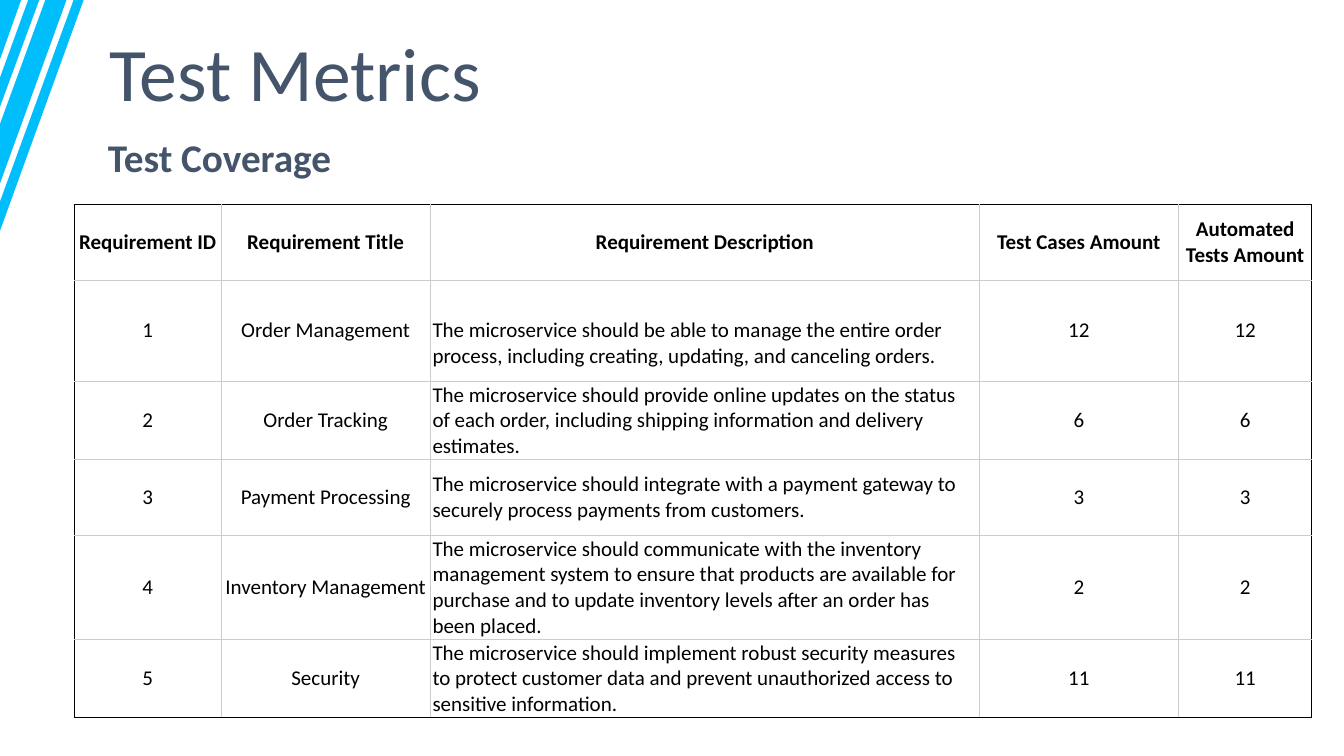
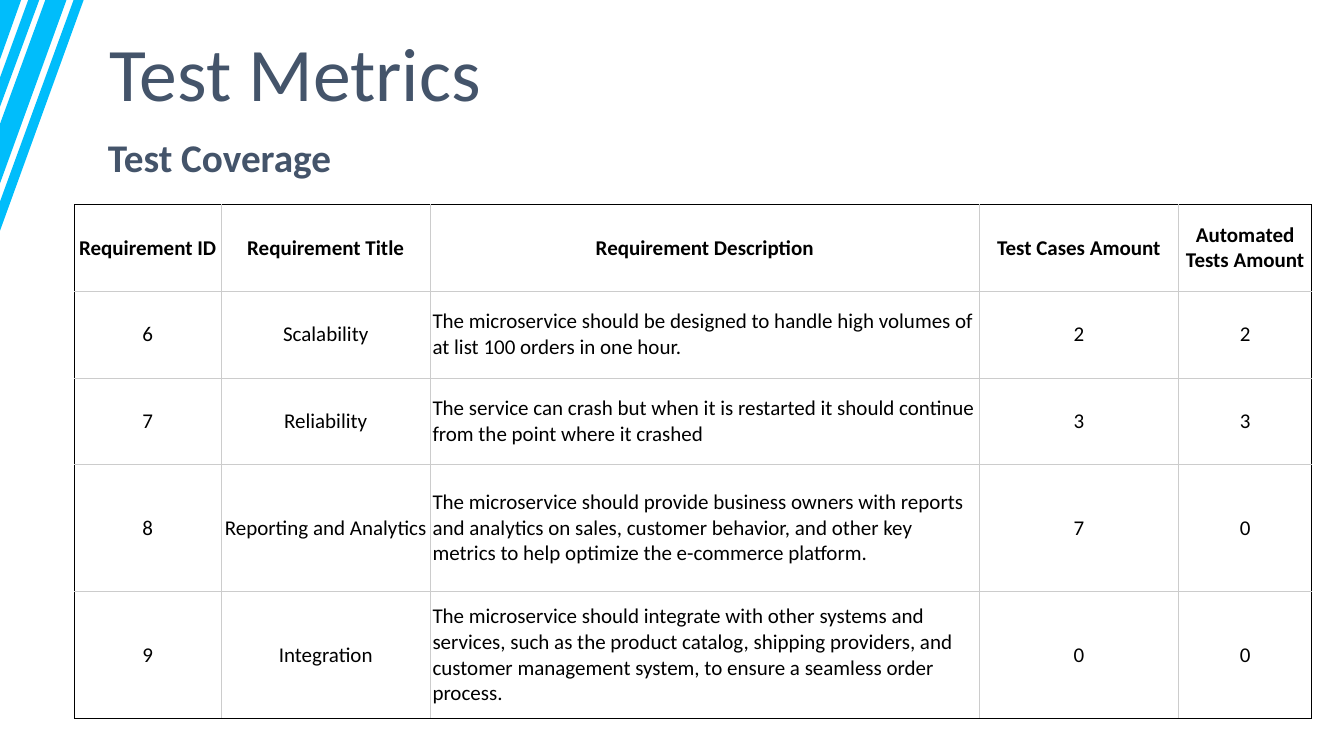
"""Builds the two test coverage slides of the test metrics report."""
from lxml import etree
from pptx import Presentation
from pptx.dml.color import RGBColor
from pptx.enum import text
from pptx.oxml import ns
from pptx.util import Inches, Pt

FONT = "Calibri"
SLATE, SKY, BLACK, GREY = "44546A", "00BDFB", "000000", "CCCCCC"

TITLE, SUBTITLE = "Test Metrics", "Test Coverage"
HEADINGS = ("Requirement ID", "Requirement Title", "Requirement Description",
            "Test Cases Amount", "Automated Tests Amount")
COLUMN_WIDTHS = (1.45, 2.08, 5.44, 1.98, 1.32)
DESCRIPTION_COLUMN = 2
LOWERED_REQUIREMENT, LOWERED_MARGIN = "1", 0.26

PAGES = [
    {"row_heights": (0.75, 1, 0.78, 0.75, 1.03, 0.78),
     "requirements": [
         ("1", "Order Management",
          "The microservice should be able to manage the entire order process, "
          "including creating, updating, and canceling orders.", "12", "12"),
         ("2", "Order Tracking",
          "The microservice should provide online updates on the status of each order, "
          "including shipping information and delivery estimates.", "6", "6"),
         ("3", "Payment Processing",
          "The microservice should integrate with a payment gateway to securely "
          "process payments from customers.", "3", "3"),
         ("4", "Inventory Management",
          "The microservice should communicate with the inventory management system to "
          "ensure that products are available for purchase and to update inventory "
          "levels after an order has been placed.", "2", "2"),
         ("5", "Security",
          "The microservice should implement robust security measures to protect customer "
          "data and prevent unauthorized access to sensitive information.", "11", "11"),
     ]},
    {"row_heights": (0.86, 0.86, 0.86, 1.26, 1.26),
     "requirements": [
         ("6", "Scalability",
          "The microservice should be designed to handle high volumes of at list 100 "
          "orders in one hour.", "2", "2"),
         ("7", "Reliability",
          "The service can crash but when it is restarted it should continue from the "
          "point where it crashed", "3", "3"),
         ("8", "Reporting and Analytics",
          "The microservice should provide business owners with reports and analytics on "
          "sales, customer behavior, and other key metrics to help optimize the "
          "e-commerce platform.", "7", "0"),
         ("9", "Integration",
          "The microservice should integrate with other systems and services, such as the "
          "product catalog, shipping providers, and customer management system, to ensure "
          "a seamless order process.", "0", "0"),
     ]},
]

STRIPES = [
    [(0, 0), (0.21, 0), (0, 0.59)],
    [(0.28, 0), (0.39, 0), (0, 1.06), (0, 0.77)],
    [(0.45, 0), (0.66, 0), (0, 1.82), (0, 1.23)],
    [(0.73, 0), (0.83, 0), (0, 2.29), (0, 2)],
]


def rgb(color):
    return RGBColor.from_string(color)


def style(paragraph, size, color, bold=False):
    font = paragraph.font
    font.name, font.size, font.bold = FONT, Pt(size), bold
    font.color.rgb = rgb(color)


def add_stripes(slide):
    outlines = [[(Inches(x), Inches(y)) for x, y in stripe] for stripe in STRIPES]
    builder = slide.shapes.build_freeform(*outlines[0][0])
    builder.add_line_segments(outlines[0][1:])
    for outline in outlines[1:]:
        builder.move_to(*outline[0])
        builder.add_line_segments(outline[1:])
    stripes = builder.convert_to_shape()
    stripes.shadow.inherit = False
    stripes.fill.solid()
    stripes.fill.fore_color.rgb = rgb(SKY)
    stripes.line.fill.background()


def add_heading(slide, words, box, size, bold=False, inset=0, before=0):
    frame = slide.shapes.add_textbox(*map(Inches, box)).text_frame
    frame.word_wrap = True
    frame.vertical_anchor = text.MSO_ANCHOR.MIDDLE
    frame.margin_left = Inches(inset)
    frame.margin_right = frame.margin_top = frame.margin_bottom = 0
    heading = frame.paragraphs[0]
    heading.text = words
    heading.line_spacing = 0.9
    heading.space_before = Pt(before)
    style(heading, size, SLATE, bold)


def set_borders(cell, colors):
    properties = cell._tc.get_or_add_tcPr()
    for place, (side, color) in enumerate(colors.items()):
        border = etree.Element(ns.qn(f"a:ln{side}"), w=str(Pt(0.5)))
        fill = etree.SubElement(border, ns.qn("a:solidFill"))
        etree.SubElement(fill, ns.qn("a:srgbClr"), val=color)
        properties.insert(place, border)


def add_coverage(slide, requirements, row_heights):
    rows = [HEADINGS, *requirements]
    last_row, last_column = len(rows) - 1, len(HEADINGS) - 1
    coverage = slide.shapes.add_table(
        len(rows), len(HEADINGS), Inches(0.74), Inches(2.03),
        Inches(sum(COLUMN_WIDTHS)), Inches(sum(row_heights))).table
    coverage.first_row = coverage.horz_banding = False
    for column, width in zip(coverage.columns, COLUMN_WIDTHS):
        column.width = Inches(width)
    for r, (values, height) in enumerate(zip(rows, row_heights)):
        coverage.rows[r].height = Inches(height)
        for c, value in enumerate(values):
            cell = coverage.cell(r, c)
            cell.text = value
            cell.fill.background()
            cell.vertical_anchor = text.MSO_ANCHOR.MIDDLE
            cell.margin_left = cell.margin_right = Inches(0.02)
            cell.margin_top = cell.margin_bottom = Inches(0.01)
            words = cell.text_frame.paragraphs[0]
            style(words, 15, BLACK, bold=r == 0)
            if r and c == DESCRIPTION_COLUMN:
                words.alignment = text.PP_ALIGN.LEFT
                if values[0] == LOWERED_REQUIREMENT:
                    cell.margin_top = Inches(LOWERED_MARGIN)
            else:
                words.alignment = text.PP_ALIGN.CENTER
            outer = {"L": c == 0, "R": c == last_column, "T": r == 0, "B": r == last_row}
            set_borders(cell, {side: BLACK if edge else GREY for side, edge in outer.items()})


def main():
    deck = Presentation()
    deck.slide_width, deck.slide_height = Inches(13.33), Inches(7.5)
    for page in PAGES:
        slide = deck.slides.add_slide(deck.slide_layouts[6])
        add_stripes(slide)
        add_heading(slide, TITLE, (0.74, 0.37, 12.27, 0.79), 54, inset=0.35, before=10)
        add_heading(slide, SUBTITLE, (1.07, 1.38, 4.26, 0.42), 28, bold=True)
        add_coverage(slide, **page)
    deck.save("out.pptx")


if __name__ == "__main__":
    main()
